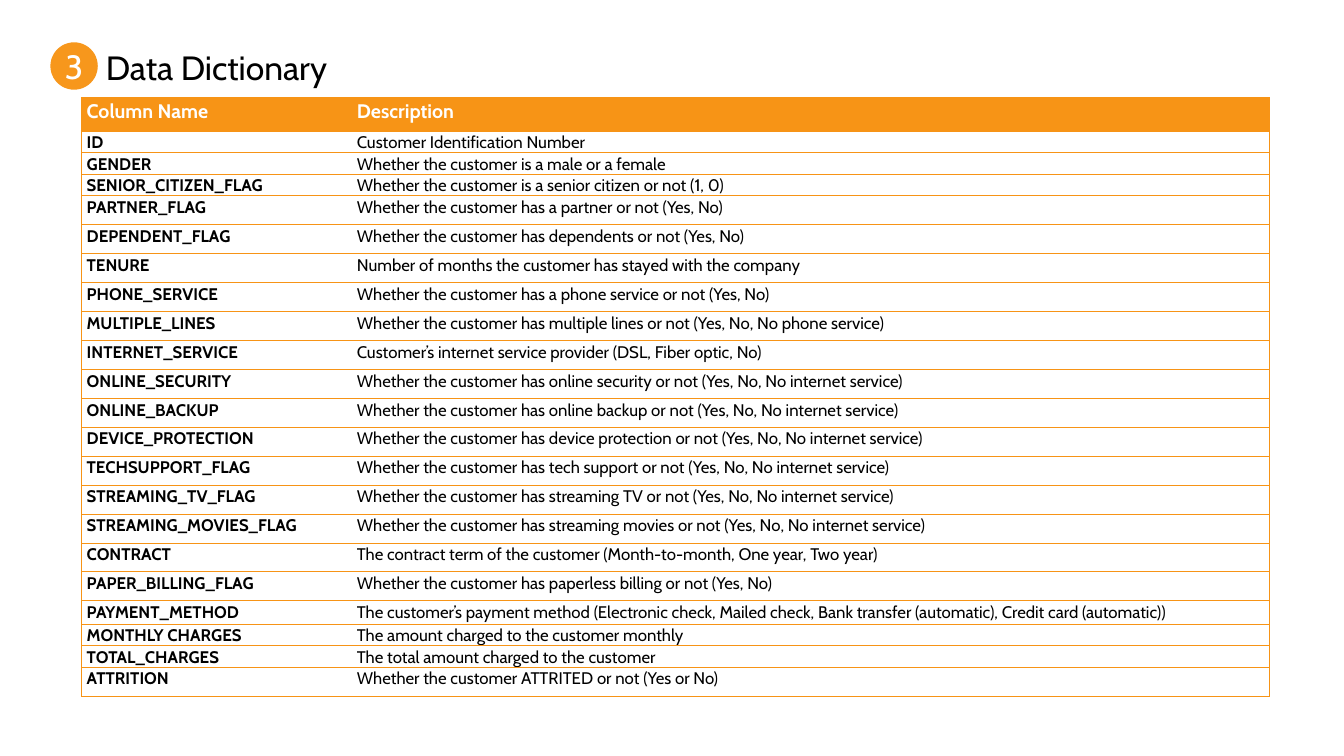
from dataclasses import dataclass

from lxml import etree
from pptx import Presentation
from pptx.dml.color import RGBColor
from pptx.enum.shapes import MSO_SHAPE
from pptx.enum.text import MSO_ANCHOR, PP_ALIGN
from pptx.oxml.ns import qn
from pptx.util import Inches, Pt

OVAL = MSO_SHAPE.OVAL
TOP, MIDDLE = MSO_ANCHOR.TOP, MSO_ANCHOR.MIDDLE
LEFT, CENTER = PP_ALIGN.LEFT, PP_ALIGN.CENTER


@dataclass
class Theme:
    font: str = "Cabin"
    badge: str = "F7971C"
    accent: str = "F79416"
    dark: str = "000000"
    light: str = "FFFFFF"
    title: float = 24
    head: float = 14
    body: float = 12
    rule: float = 0.75
    space: float = 1.07


HEADS = ("Column Name", "Description")
FIELDS = [
    ("ID", "Customer Identification Number"),
    ("GENDER", "Whether the customer is a male or a female"),
    ("SENIOR_CITIZEN_FLAG", "Whether the customer is a senior citizen or not (1, 0)"),
    ("PARTNER_FLAG", "Whether the customer has a partner or not (Yes, No)"),
    ("DEPENDENT_FLAG", "Whether the customer has dependents or not (Yes, No)"),
    ("TENURE", "Number of months the customer has stayed with the company"),
    ("PHONE_SERVICE", "Whether the customer has a phone service or not (Yes, No)"),
    ("MULTIPLE_LINES", "Whether the customer has multiple lines or not (Yes, No, No phone service)"),
    ("INTERNET_SERVICE", "Customer’s internet service provider (DSL, Fiber optic, No)"),
    ("ONLINE_SECURITY", "Whether the customer has online security or not (Yes, No, No internet service)"),
    ("ONLINE_BACKUP", "Whether the customer has online backup or not (Yes, No, No internet service)"),
    ("DEVICE_PROTECTION", "Whether the customer has device protection or not (Yes, No, No internet service)"),
    ("TECHSUPPORT_FLAG", "Whether the customer has tech support or not (Yes, No, No internet service)"),
    ("STREAMING_TV_FLAG", "Whether the customer has streaming TV or not (Yes, No, No internet service)"),
    ("STREAMING_MOVIES_FLAG", "Whether the customer has streaming movies or not (Yes, No, No internet service)"),
    ("CONTRACT", "The contract term of the customer (Month-to-month, One year, Two year)"),
    ("PAPER_BILLING_FLAG", "Whether the customer has paperless billing or not (Yes, No)"),
    ("PAYMENT_METHOD", "The customer’s payment method (Electronic check, Mailed check, "
     "Bank transfer (automatic), Credit card (automatic))"),
    ("MONTHLY CHARGES", "The amount charged to the customer monthly"),
    ("TOTAL_CHARGES", "The total amount charged to the customer"),
    ("ATTRITION", "Whether the customer ATTRITED or not (Yes or No)"),
]
WIDTHS = (2.68, 9.1)
# Tight rows grow to fit their text; fourteen even rows share one block
TIGHT, EVEN = 0.14, 4.02 / 14
HEIGHTS = [0.33] + [TIGHT] * 3 + [EVEN] * 14 + [0.23] + [TIGHT] * 2 + [EVEN]


class Deck:
    def __init__(self, slide, theme):
        self.slide = slide
        self.theme = theme

    def label(self, frame, text, size, color, bold=False, align=LEFT):
        frame.text = text
        para = frame.paragraphs[0]
        para.alignment = align
        font = para.runs[0].font
        font.name = self.theme.font
        font.size = Pt(size)
        font.bold = bold
        font.color.rgb = RGBColor.from_string(color)
        return para

    def inset(self, frame, anchor, wrap):
        frame.margin_left = frame.margin_right = 0
        frame.margin_top = frame.margin_bottom = 0
        frame.vertical_anchor = anchor
        frame.word_wrap = wrap

    def title(self, text, box):
        frame = self.slide.shapes.add_textbox(*map(Inches, box)).text_frame
        self.inset(frame, TOP, True)
        self.label(frame, text, self.theme.title, self.theme.dark)

    def badge(self, text, box):
        disc = self.slide.shapes.add_shape(OVAL, *map(Inches, box))
        disc.shadow.inherit = False
        disc.fill.solid()
        disc.fill.fore_color.rgb = RGBColor.from_string(self.theme.badge)
        disc.line.fill.background()
        self.inset(disc.text_frame, MIDDLE, False)
        self.label(disc.text_frame, text, self.theme.title, self.theme.light, align=CENTER)

    def edge(self, cell, side, shown):
        props = cell._tc.get_or_add_tcPr()
        line = etree.SubElement(props, qn("a:ln" + side), w=str(Pt(self.theme.rule)))
        if shown:
            fill = etree.SubElement(line, qn("a:solidFill"))
            etree.SubElement(fill, qn("a:srgbClr"), val=self.theme.accent)
        else:
            etree.SubElement(line, qn("a:noFill"))

    def cell(self, cell, text, first, head):
        theme = self.theme
        cell.margin_left = cell.margin_right = Inches(0.05)
        cell.margin_top = cell.margin_bottom = 0
        cell.vertical_anchor = TOP
        # Outer frame and row rules, with no line between the columns
        for side, shown in (("L", first), ("R", not first), ("T", True), ("B", True)):
            self.edge(cell, side, shown)
        if head:
            cell.fill.solid()
            cell.fill.fore_color.rgb = RGBColor.from_string(theme.accent)
        else:
            cell.fill.background()
        size, color = (theme.head, theme.light) if head else (theme.body, theme.dark)
        para = self.label(cell.text_frame, text, size, color, bold=head or first)
        para.line_spacing = theme.space

    def table(self, rows, left, top):
        box = map(Inches, (left, top, sum(WIDTHS), sum(HEIGHTS)))
        grid = self.slide.shapes.add_table(len(rows), len(WIDTHS), *box).table
        grid.first_row = grid.horz_banding = False
        for col, width in zip(grid.columns, WIDTHS):
            col.width = Inches(width)
        for r, (row, height) in enumerate(zip(rows, HEIGHTS)):
            grid.rows[r].height = Inches(height)
            for c, text in enumerate(row):
                self.cell(grid.cell(r, c), text, c == 0, r == 0)


def main():
    prs = Presentation()
    prs.slide_width, prs.slide_height = Inches(13.33), Inches(7.5)
    deck = Deck(prs.slides.add_slide(prs.slide_layouts[6]), Theme())

    # Heading with its number
    deck.title("Data Dictionary", (1.05, 0.47, 11.54, 0.4))
    deck.badge("3", (0.5, 0.42, 0.47, 0.47))

    # Dictionary of columns
    deck.table([HEADS] + FIELDS, 0.81, 0.97)

    prs.save("out.pptx")


if __name__ == "__main__":
    main()
